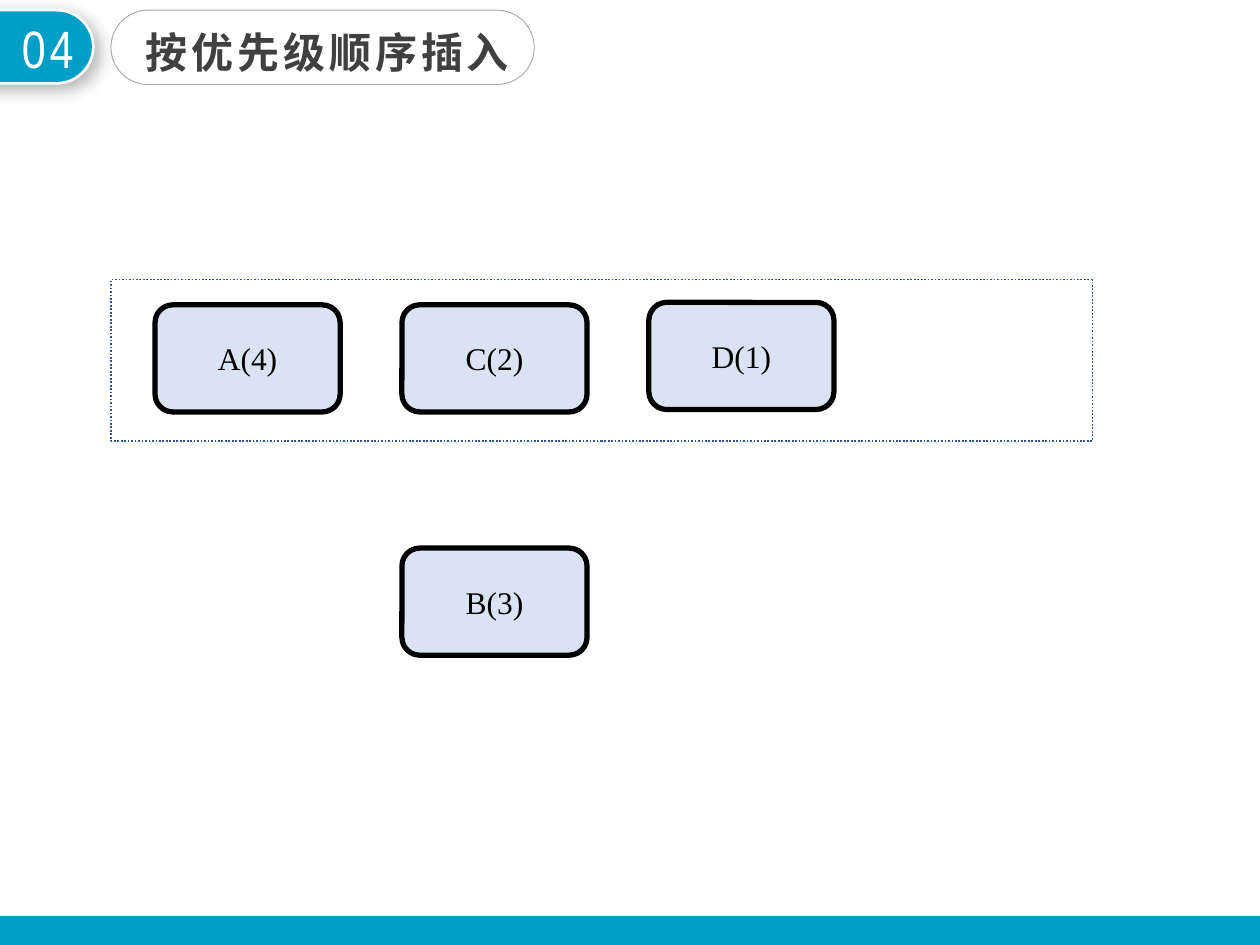
from lxml import etree
from pptx import Presentation
from pptx.dml.color import RGBColor
from pptx.enum.dml import MSO_LINE
from pptx.enum.shapes import MSO_SHAPE
from pptx.enum.text import MSO_ANCHOR, MSO_AUTO_SIZE, PP_ALIGN
from pptx.oxml import parse_xml
from pptx.oxml.ns import nsdecls, qn
from pptx.util import Pt

RECT = MSO_SHAPE.RECTANGLE
ROUND = MSO_SHAPE.ROUNDED_RECTANGLE
DOTTED = MSO_LINE.ROUND_DOT
CENTER = PP_ALIGN.CENTER
LEFT = PP_ALIGN.LEFT
MIDDLE = MSO_ANCHOR.MIDDLE
GROW = MSO_AUTO_SIZE.SHAPE_TO_FIT_TEXT

COLORS = {
    "accent": "019EC7",
    "white": "FFFFFF",
    "black": "000000",
    "gray": "A6A6A6",
    "title": "404040",
    "node": "DAE3F3",
    "queue": "325491",
}

NODE_W, NODE_H = 105.8, 61.2
NODE_X, NODE_STEP = 88.6, 141.1


class Deck:
    def __init__(self):
        self.prs = Presentation()
        self.prs.slide_width, self.prs.slide_height = Pt(720), Pt(540)
        self.s = self.prs.slides.add_slide(self.prs.slide_layouts[6])

    def color(self, name):
        return RGBColor.from_string(COLORS[name])

    def shape(self, kind, x, y, w, h, fill=None, line=None, width=1, adj=None):
        sp = self.s.shapes.add_shape(kind, Pt(x), Pt(y), Pt(w), Pt(h))
        sp.shadow.inherit = False
        if fill:
            sp.fill.solid()
            sp.fill.fore_color.rgb = self.color(fill)
        else:
            sp.fill.background()
        if line:
            sp.line.color.rgb = self.color(line)
            sp.line.width = Pt(width)
        else:
            sp.line.fill.background()
        if adj is not None:
            sp.adjustments[0] = adj
        return sp

    def set_text(self, sp, text, size, font, color, align=CENTER, bold=False, spacing=0):
        p = sp.text_frame.paragraphs[0]
        p.text = text
        p.alignment = align
        p.font.size = Pt(size)
        p.font.name = font
        p.font.bold = bold
        p.font.color.rgb = self.color(color)
        props = p._p.pPr.find(qn("a:defRPr"))
        etree.SubElement(props, qn("a:ea")).set("typeface", font)
        if spacing:
            props.set("spc", str(round(spacing * 100)))

    def label(self, x, y, w, h, text, size, font, color, **style):
        sp = self.s.shapes.add_textbox(Pt(x), Pt(y), Pt(w), Pt(h))
        sp.text_frame.word_wrap = True
        sp.text_frame.auto_size = GROW
        self.set_text(sp, text, size, font, color, **style)
        return sp

    def node(self, column, y, text):
        x = NODE_X + column * NODE_STEP
        sp = self.shape(ROUND, x, y, NODE_W, NODE_H, "node", "black", 3)
        sp.text_frame.vertical_anchor = MIDDLE
        self.set_text(sp, text, 18, "Times New Roman", "black")

    def drop_shadow(self, sp, blur, dist, angle, alpha):
        effects = sp._element.spPr.find(qn("a:effectLst"))
        effects.append(parse_xml(
            f'<a:outerShdw {nsdecls("a")} blurRad="{Pt(blur)}" dist="{Pt(dist)}" '
            f'dir="{angle * 60000}" algn="tl" rotWithShape="0">'
            f'<a:srgbClr val="{COLORS["black"]}"><a:alpha val="{alpha * 1000}"/></a:srgbClr>'
            '</a:outerShdw>'))

    def badge(self, text):
        tab = self.shape(ROUND, -24.5, -30.2, 41.8, 113.8, "accent", "white", 1.5, 0.5)
        tab.rotation = 90
        self.drop_shadow(tab, 10, 4, 45, 30)
        number = self.label(1.4, 5.8, 51.8, 43.9, text, 30, "Arial Narrow", "white", spacing=2.2)
        self.s.shapes.add_group_shape([tab, number])

    def title(self, text):
        self.shape(ROUND, 63.4, 5.8, 241.9, 42.5, line="gray", width=0.5, adj=0.5)
        self.label(76.3, 11.5, 275.8, 36, text, 24, "Noto Sans CJK SC", "title",
                   align=LEFT, bold=True, spacing=2.2)

    def queue(self, x, y, w, h):
        sp = self.shape(RECT, x, y, w, h, line="queue")
        sp.line.dash_style = DOTTED


def main():
    deck = Deck()
    deck.badge("04")
    deck.title("按优先级顺序插入")
    deck.shape(RECT, 0, 523.4, 720, 16.6, "accent")
    deck.queue(63.4, 159.8, 560.9, 92.2)
    for column, y, text in [(0, 174.2, "A(4)"), (1, 174.2, "C(2)"),
                            (2, 172.8, "D(1)"), (1, 313.2, "B(3)")]:
        deck.node(column, y, text)
    deck.prs.save("out.pptx")


if __name__ == "__main__":
    main()
